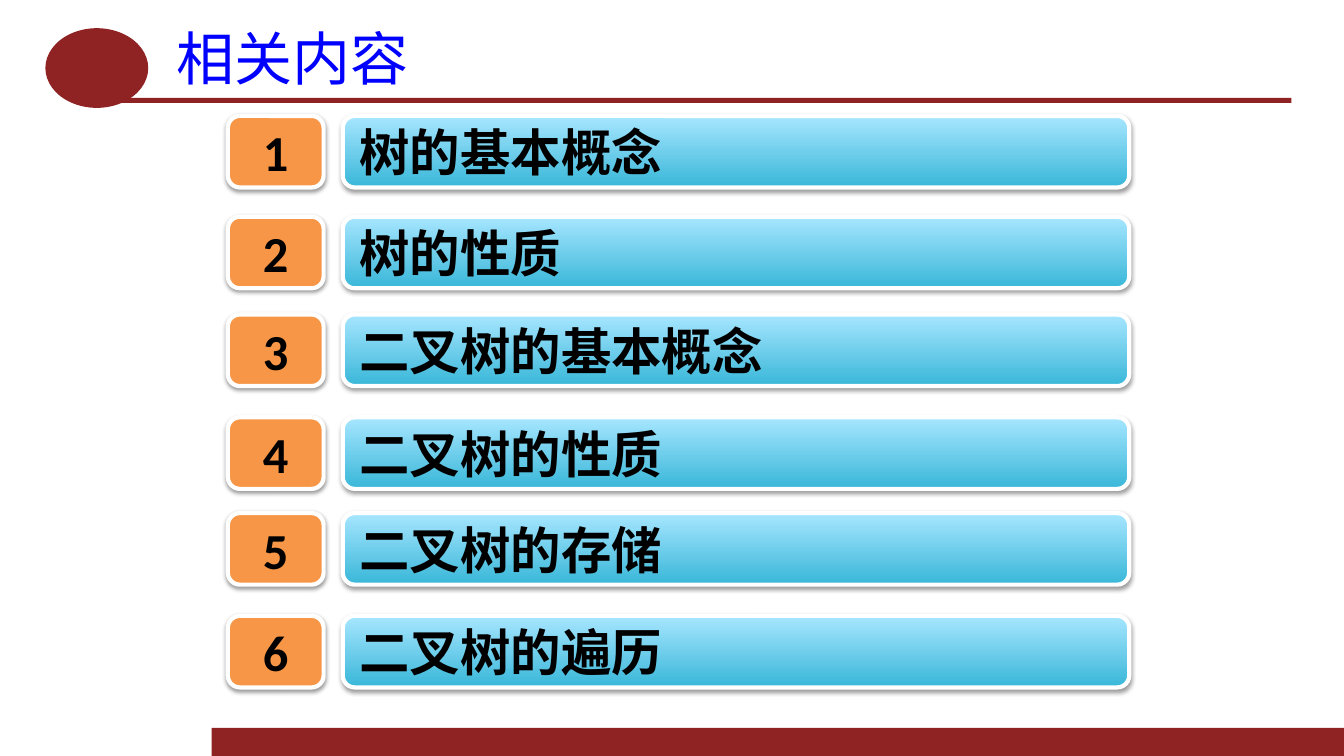
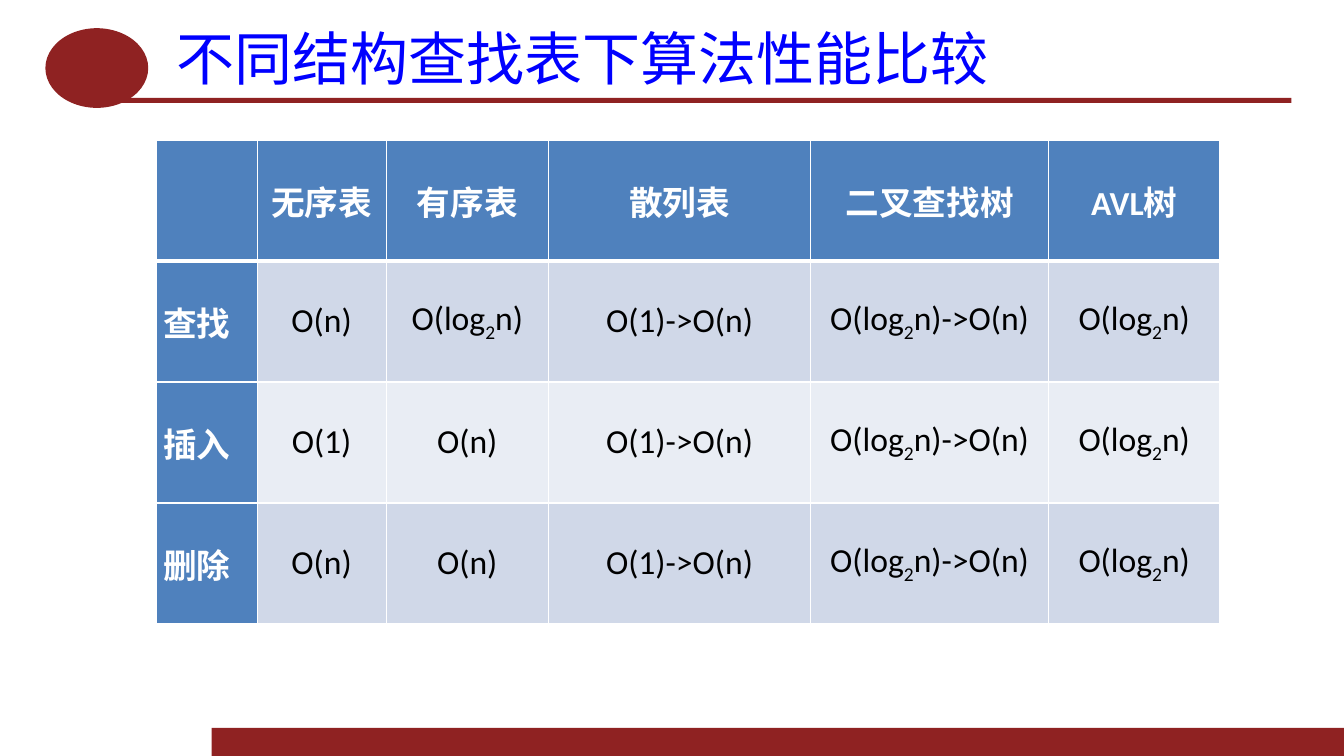
from lxml import etree
from pptx import Presentation
from pptx.dml.color import RGBColor
from pptx.enum.shapes import MSO_SHAPE
from pptx.enum.text import MSO_ANCHOR, MSO_AUTO_SIZE, PP_ALIGN
from pptx.oxml.ns import qn
from pptx.util import Inches, Pt

RECT, OVAL, ROUNDED = MSO_SHAPE.RECTANGLE, MSO_SHAPE.OVAL, MSO_SHAPE.ROUNDED_RECTANGLE
MIDDLE, CENTER, JUSTIFY = MSO_ANCHOR.MIDDLE, PP_ALIGN.CENTER, PP_ALIGN.JUSTIFY
NO_AUTOFIT = MSO_AUTO_SIZE.NONE
TITLE_ONLY = 5

COLORS = {
    "band": "8F2222", "title": "0000FF", "text": "000000", "white": "FFFFFF",
    "badge": "F79646", "bar_bottom": "39B7D8", "bar_top": "A7E6FF",
    "header": "4F81BD", "odd_row": "D0D8E8", "even_row": "E9EDF4",
}
TITLE_FONT, BODY_FONT = "Noto Sans CJK SC", "Calibri"

TOPICS = [
    (1.15, "树的基本概念"),
    (2.15, "树的性质"),
    (3.12, "二叉树的基本概念"),
    (4.14, "二叉树的性质"),
    (5.09, "二叉树的存储"),
    (6.11, "二叉树的遍历"),
]
COMPLEXITY = [
    ["", "无序表", "有序表", "散列表", "二叉查找树", "AVL树"],
    ["查找", "O(n)", "O(log₂n)", "O(1)->O(n)", "O(log₂n)->O(n)", "O(log₂n)"],
    ["插入", "O(1)", "O(n)", "O(1)->O(n)", "O(log₂n)->O(n)", "O(log₂n)"],
    ["删除", "O(n)", "O(n)", "O(1)->O(n)", "O(log₂n)->O(n)", "O(log₂n)"],
]
COLUMN_WIDTHS = [1, 1.28, 1.61, 2.6, 2.36, 1.7]
ROW_HEIGHT = 1.2


def color(key):
    return RGBColor.from_string(COLORS[key])


def inches(*lengths):
    return [Inches(length) for length in lengths]


class Deck:
    def __init__(self):
        self.prs = Presentation()
        self.prs.slide_width, self.prs.slide_height = inches(13.33, 7.5)
        self.slide = None

    def new_slide(self, title):
        self.slide = self.prs.slides.add_slide(self.prs.slide_layouts[TITLE_ONLY])
        self.block(RECT, 2.1, 7.22, 11.23, 0.28, "band")
        self.block(RECT, 1.18, 0.97, 11.63, 0.05, "band")
        self.block(OVAL, 0.45, 0.28, 1.02, 0.79, "band")
        self.title(title)

    def title(self, text):
        heading = self.slide.shapes.title
        heading.left, heading.top, heading.width, heading.height = inches(
            1.62, 0.21, 11.19, 0.71)
        self.label(heading, text, 41.4, "title", JUSTIFY, TITLE_FONT, False)
        heading.text_frame.auto_size = NO_AUTOFIT
        for props in heading.element.iter(qn("a:defRPr")):
            etree.SubElement(props, qn("a:ea"), typeface=TITLE_FONT)

    def block(self, kind, left, top, width, height, fill):
        shape = self.slide.shapes.add_shape(kind, *inches(left, top, width, height))
        shape.shadow.inherit = False
        shape.fill.solid()
        shape.fill.fore_color.rgb = color(fill)
        shape.line.fill.background()
        return shape

    def label(self, shape, text, size, ink, align, font=BODY_FONT, bold=True):
        frame = shape.text_frame
        frame.word_wrap = True
        frame.vertical_anchor = MIDDLE
        frame.margin_left = frame.margin_right = Inches(0.13)
        frame.margin_top = frame.margin_bottom = Inches(0.06)
        frame.text = text
        self.style(frame.paragraphs[0], size, ink, align, font, bold)

    def style(self, paragraph, size, ink, align, font, bold):
        paragraph.alignment = align
        paragraph.font.size = Pt(size)
        paragraph.font.name = font
        paragraph.font.bold = bold
        paragraph.font.color.rgb = color(ink)

    def tile(self, left, top, width, text, align):
        """Rounded label with a white rim and a soft shadow below."""
        tile = self.block(ROUNDED, left, top, width, 0.71, "badge")
        tile.line.color.rgb = color("white")
        tile.line.width = Pt(3)
        effects = tile.element.spPr.find(qn("a:effectLst"))
        shadow = etree.SubElement(
            effects, qn("a:outerShdw"), blurRad=str(Pt(3.1)), dist=str(Pt(1.6)),
            dir="5400000", rotWithShape="0")
        tint = etree.SubElement(shadow, qn("a:srgbClr"), val=COLORS["text"])
        etree.SubElement(tint, qn("a:alpha"), val="38000")
        self.label(tile, text, 36, "text", align)
        return tile

    def topic(self, number, top, text):
        self.tile(2.26, top, 0.95, str(number), CENTER)
        bar = self.tile(3.4, top, 7.8, text, JUSTIFY)
        bar.fill.gradient()
        bar.fill.gradient_angle = 90
        for stop, key in zip(bar.fill.gradient_stops, ("bar_bottom", "bar_top")):
            stop.color.rgb = color(key)

    def table(self, left, top, rows, widths, row_height):
        table = self.slide.shapes.add_table(
            len(rows), len(widths),
            *inches(left, top, sum(widths), row_height * len(rows))).table
        for column, width in zip(table.columns, widths):
            column.width = Inches(width)
        for r, texts in enumerate(rows):
            table.rows[r].height = Inches(row_height)
            for c, text in enumerate(texts):
                self.cell(table.cell(r, c), r, c, text)

    def cell(self, cell, row, column, text):
        self.borders(cell, row)
        is_header = row == 0 or column == 0
        band = "odd_row" if row % 2 else "even_row"
        cell.fill.solid()
        cell.fill.fore_color.rgb = color("header" if is_header else band)
        cell.vertical_anchor = MIDDLE
        cell.margin_left = cell.margin_right = Inches(0.07)
        cell.margin_top = cell.margin_bottom = 0
        paragraph = cell.text_frame.paragraphs[0]
        self.style(paragraph, 24, "white" if is_header else "text",
                   CENTER if column else JUSTIFY, BODY_FONT, is_header)
        self.formula(paragraph, text)

    def formula(self, paragraph, text):
        """Add text, setting each ₂ as a lowered 2."""
        for i, part in enumerate(text.split("₂")):
            if i:
                base = paragraph.add_run()
                base.text = "2"
                base._r.get_or_add_rPr().set("baseline", "-25000")
            if part:
                paragraph.add_run().text = part

    def borders(self, cell, row):
        """White rules, heavier between the header row and the first row."""
        heavy = {(0, "lnB"), (1, "lnT")}
        props = cell._tc.get_or_add_tcPr()
        for side in ("lnL", "lnR", "lnT", "lnB"):
            width = Pt(3 if (row, side) in heavy else 1)
            line = etree.SubElement(props, qn(f"a:{side}"), w=str(width))
            fill = etree.SubElement(line, qn("a:solidFill"))
            etree.SubElement(fill, qn("a:srgbClr"), val=COLORS["white"])


def main():
    deck = Deck()
    deck.new_slide("相关内容")
    for number, (top, topic) in enumerate(TOPICS, 1):
        deck.topic(number, top, topic)

    deck.new_slide("不同结构查找表下算法性能比较")
    deck.table(1.55, 1.39, COMPLEXITY, COLUMN_WIDTHS, ROW_HEIGHT)
    deck.prs.save("out.pptx")


if __name__ == "__main__":
    main()
